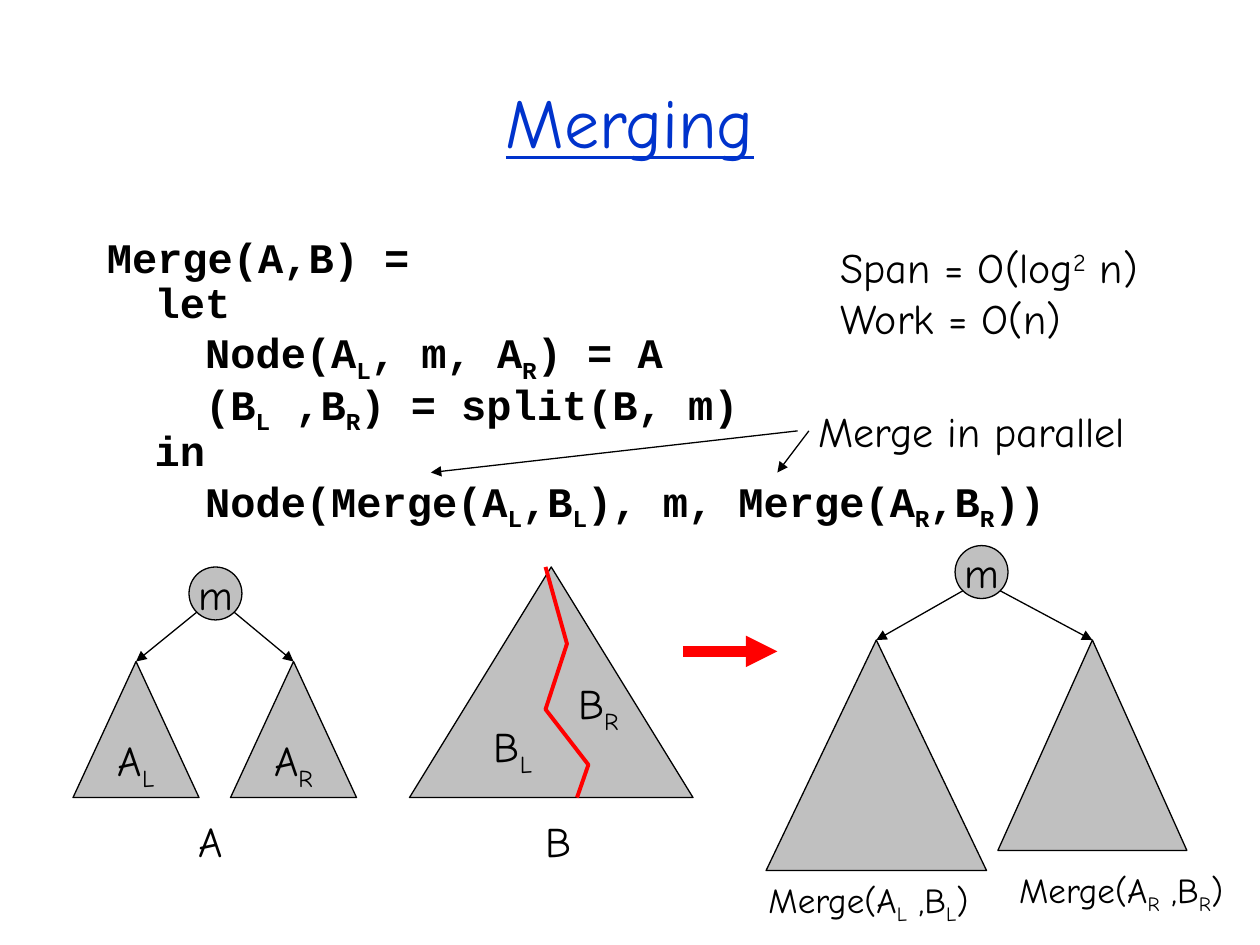
import pptx
import pptx.util
import pptx.dml.color
import pptx.enum.shapes
import pptx.enum.text
import pptx.oxml
import pptx.oxml.ns

Inches = pptx.util.Inches
Pt = pptx.util.Pt
Kind = pptx.enum.shapes.MSO_SHAPE
Align = pptx.enum.text.PP_ALIGN
Anchor = pptx.enum.text.MSO_ANCHOR

BLACK, GRAY, RED, BLUE = "000000", "C0C0C0", "FF0000", "0033CC"


def color(code):
    return pptx.dml.color.RGBColor.from_string(code)


def element(tag):
    return pptx.oxml.parse_xml("<a:%s %s/>" % (tag, pptx.oxml.ns.nsdecls("a")))


class Deck:
    font = "Comic Neue"
    mono = "Courier New"

    def __init__(self):
        self.show = pptx.Presentation()
        self.show.slide_width = Inches(10)
        self.show.slide_height = Inches(7.5)
        self.slide = self.show.slides.add_slide(self.show.slide_layouts[5])
        self.shapes = self.slide.shapes

    def runs(self, para, text, size=24, font=None, tint=BLACK, bold=False, shift=-25):
        """Add runs; every second part between bars is shifted off the line."""
        for i, part in enumerate(text.split("|")):
            if not part:
                continue
            run = para.add_run()
            run.text = part
            run.font.size = Pt(size)
            run.font.name = font or self.font
            run.font.bold = bold
            run.font.color.rgb = color(tint)
            if i % 2:
                run._r.get_or_add_rPr().set("baseline", str(shift * 1000))

    def title(self, text, *box):
        shape = self.shapes.title
        shape.left, shape.top, shape.width, shape.height = map(Inches, box)
        shape.text_frame.vertical_anchor = Anchor.MIDDLE
        para = shape.text_frame.paragraphs[0]
        para.alignment = Align.CENTER
        self.runs(para, text, 40, tint=BLUE)
        para.runs[0].font.underline = True

    def text(self, lines, *box, **style):
        frame = self.shapes.add_textbox(*map(Inches, box)).text_frame
        frame.word_wrap = False
        for i, line in enumerate(lines):
            para = frame.add_paragraph() if i else frame.paragraphs[0]
            self.runs(para, line, **style)

    def code(self, lines, *box):
        frame = self.shapes.add_textbox(*map(Inches, box)).text_frame
        frame.word_wrap = True
        for i, (indent, line) in enumerate(lines):
            para = frame.add_paragraph() if i else frame.paragraphs[0]
            para.line_spacing = 0.9
            para.space_before = Pt(0 if i else 4.8)
            para._p.get_or_add_pPr().set("marL", str(Inches(indent)))
            self.runs(para, line, font=self.mono, bold=True)

    def node(self, kind, box, label=""):
        shape = self.shapes.add_shape(kind, *map(Inches, box))
        shape.shadow.inherit = False
        shape.fill.solid()
        shape.fill.fore_color.rgb = color(GRAY)
        shape.line.color.rgb = color(BLACK)
        shape.line.width = Pt(0.75)
        if label:
            frame = shape.text_frame
            frame.word_wrap = False
            frame.vertical_anchor = Anchor.MIDDLE
            frame.paragraphs[0].alignment = Align.CENTER
            self.runs(frame.paragraphs[0], label)

    def arrow(self, start, end, tint=BLACK, width=0.75):
        link = self.shapes.add_connector(
            pptx.enum.shapes.MSO_CONNECTOR.STRAIGHT, *map(Inches, start + end))
        link.line.color.rgb = color(tint)
        link.line.width = Pt(width)
        head = element("tailEnd")
        head.set("type", "triangle")
        props = link._element.spPr
        props.find(pptx.oxml.ns.qn("a:ln")).append(head)
        props.append(element("effectLst"))

    def crack(self, points, tint, width):
        spots = [(Inches(x), Inches(y)) for x, y in points]
        form = self.shapes.build_freeform(*spots[0])
        form.add_line_segments(spots[1:], close=False)
        shape = form.convert_to_shape()
        shape.shadow.inherit = False
        shape.fill.background()
        shape.line.color.rgb = color(tint)
        shape.line.width = Pt(width)

    def tree(self, left, top, kids):
        """Draw a root circle with an arrow to the tip of each subtree."""
        self.node(Kind.OVAL, (left, top, 0.42, 0.42), "m")
        for dx, (box, label) in zip((0.06, 0.36), kids):
            self.node(Kind.ISOSCELES_TRIANGLE, box, label)
            self.arrow((left + dx, top + 0.36), (box[0] + box[2] / 2, box[1]))


def main():
    deck = Deck()
    deck.title("Merging", 0.75, 0.5, 8.5, 0.92)

    # Code and its costs
    deck.code([
        (0, "Merge(A,B) ="),
        (0.38, "let"),
        (0.78, "Node(A|L|, m, A|R|) = A"),
        (0.78, "(B|L| ,B|R|) = split(B, m)"),
        (0.38, "in"),
        (0.78, "Node(Merge(A|L|,B|L|), m, Merge(A|R|,B|R|))"),
    ], 0.75, 1.83, 8.5, 2.42)
    deck.text(["Span = O(log|2| n)", "Work = O(n)"], 6.57, 1.87, 2.73, 0.9, shift=30)

    # Tree A
    deck.tree(1.5, 4.5, [((0.58, 5.25, 1, 1.08), "A|L"),
                         ((1.83, 5.25, 1, 1.08), "A|R")])
    deck.text(["A"], 1.48, 6.42, 0.4, 0.5)

    # Tree B, split in two
    deck.node(Kind.ISOSCELES_TRIANGLE, (3.25, 4.5, 2.25, 1.83))
    deck.crack([(4.33, 4.5), (4.5, 5.11), (4.33, 5.63), (4.67, 6.07), (4.58, 6.33)],
               RED, 2.25)
    deck.text(["B|L"], 3.82, 5.67, 0.51, 0.5)
    deck.text(["B|R"], 4.49, 5.33, 0.53, 0.5)
    deck.text(["B"], 4.23, 6.42, 0.4, 0.5)

    # Merged tree
    deck.arrow((5.42, 5.17), (6.17, 5.17), RED, 6)
    deck.tree(7.58, 4.33, [((6.08, 5.08, 1.75, 1.83), ""),
                           ((7.92, 5.08, 1.5, 1.67), "")])
    deck.text(["Merge(A|L| ,B|L|)"], 6, 6.92, 1.85, 0.43, size=20)
    deck.text(["Merge(A|R| ,B|R|)"], 7.99, 6.84, 1.9, 0.43, size=20)

    # Note on the two parallel calls
    deck.arrow((6.42, 3.42), (6.17, 3.75))
    deck.arrow((6.33, 3.42), (3.42, 3.75))
    deck.text(["Merge in parallel"], 6.4, 3.17, 2.64, 0.5)

    deck.show.save("out.pptx")


if __name__ == "__main__":
    main()
